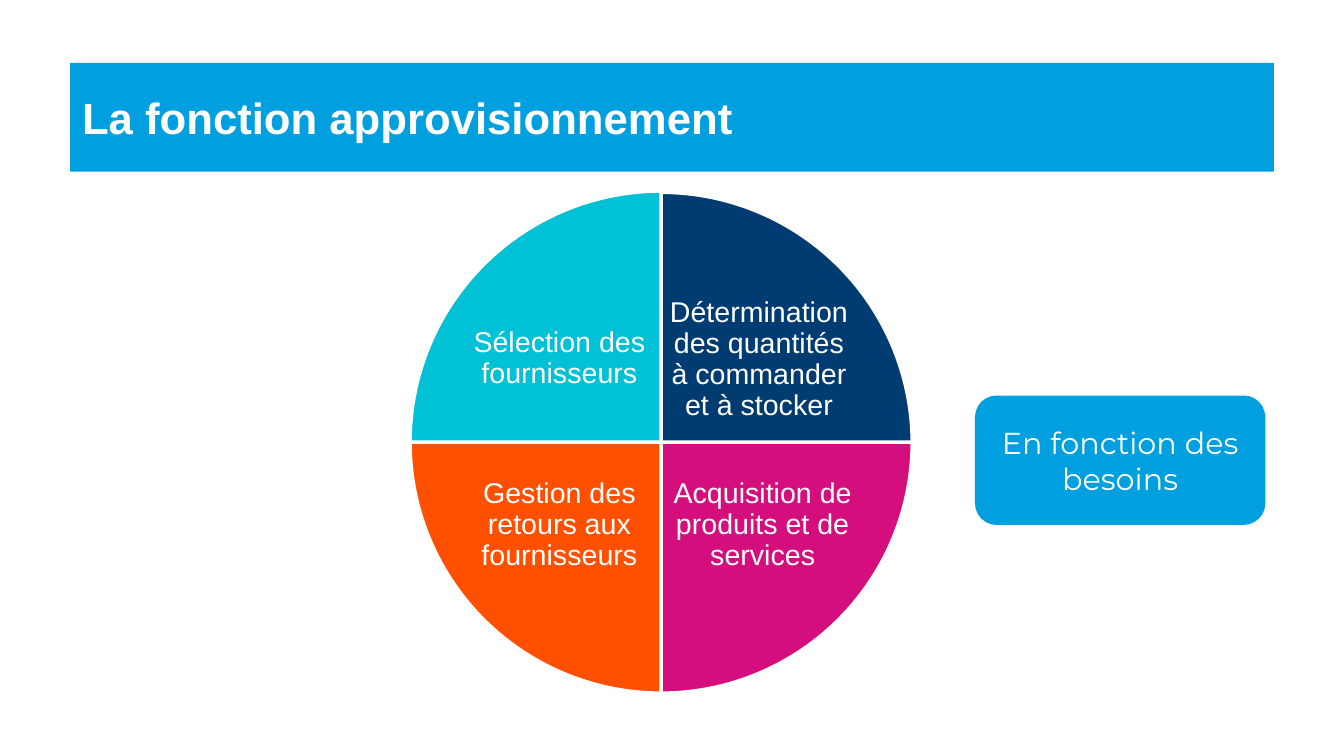
from dataclasses import dataclass

from pptx import Presentation
from pptx.dml.color import RGBColor
from pptx.enum.shapes import MSO_SHAPE
from pptx.enum.text import MSO_ANCHOR, PP_ALIGN
from pptx.shapes.autoshape import Shape
from pptx.slide import Slide
from pptx.util import Inches, Pt


@dataclass(frozen=True)
class Theme:
    blue: str = "009FDF"
    navy: str = "003C71"
    pink: str = "D40F7D"
    orange: str = "FE5000"
    cyan: str = "00C1D5"
    white: str = "FFFFFF"
    font: str = "Arial"
    note_font: str = "Montserrat"
    title_size: int = 26
    slice_size: int = 17
    note_size: int = 18


@dataclass(frozen=True)
class Box:
    left: float
    top: float
    width: float
    height: float


@dataclass(frozen=True)
class PieSlice:
    label: str
    color: str
    pie_top: float
    label_left: float
    label_top: float


THEME = Theme()
QUARTER = 54
FULL_TURN = 4 * QUARTER
PIE_LEFT, PIE_SIZE = 3.39, 4.15
LABEL_WIDTH, LABEL_HEIGHT, LABEL_INSET = 1.53, 1.23, 0.02

SLICES = [
    PieSlice("Détermination des quantités à commander et à stocker",
             THEME.navy, 1.59, 5.51, 2.36),
    PieSlice("Acquisition de produits et de services",
             THEME.pink, 1.58, 5.54, 3.73),
    PieSlice("Gestion des retours aux fournisseurs",
             THEME.orange, 1.58, 3.86, 3.73),
    PieSlice("Sélection des fournisseurs",
             THEME.cyan, 1.58, 3.86, 2.35),
]


def add_filled(s: Slide, kind: MSO_SHAPE, box: Box, color: str) -> Shape:
    sp = s.shapes.add_shape(kind, Inches(box.left), Inches(box.top),
                            Inches(box.width), Inches(box.height))
    sp.shadow.inherit = False
    sp.fill.solid()
    sp.fill.fore_color.rgb = RGBColor.from_string(color)
    sp.line.fill.background()
    return sp


def write(sp: Shape, text: str, size: int, font: str = THEME.font,
          align: PP_ALIGN = PP_ALIGN.CENTER, bold: bool = False,
          spacing: float = 1.0) -> None:
    tf = sp.text_frame
    tf.word_wrap = True
    tf.vertical_anchor = MSO_ANCHOR.MIDDLE
    p = tf.paragraphs[0]
    p.alignment = align
    p.line_spacing = spacing
    r = p.add_run()
    r.text = text
    r.font.name = font
    r.font.size = Pt(size)
    r.font.bold = bold
    r.font.color.rgb = RGBColor.from_string(THEME.white)


def add_slice(s: Slide, piece: PieSlice, index: int) -> None:
    pie = add_filled(s, MSO_SHAPE.PIE,
                     Box(PIE_LEFT, piece.pie_top, PIE_SIZE, PIE_SIZE), piece.color)
    pie.adjustments[0] = (index - 1) * QUARTER % FULL_TURN
    pie.adjustments[1] = index * QUARTER
    pie.line.color.rgb = RGBColor.from_string(THEME.white)
    pie.line.width = Pt(2)

    label = s.shapes.add_textbox(Inches(piece.label_left), Inches(piece.label_top),
                                 Inches(LABEL_WIDTH), Inches(LABEL_HEIGHT))
    tf = label.text_frame
    tf.margin_left = tf.margin_right = Inches(LABEL_INSET)
    tf.margin_top = tf.margin_bottom = Inches(LABEL_INSET)
    write(label, piece.label, THEME.slice_size, spacing=0.9)


def main() -> None:
    prs = Presentation()
    prs.slide_width, prs.slide_height = Inches(11.11), Inches(6.25)
    s = prs.slides.add_slide(prs.slide_layouts[6])

    title = add_filled(s, MSO_SHAPE.RECTANGLE, Box(0.58, 0.52, 9.95, 0.9), THEME.blue)
    write(title, "La fonction approvisionnement", THEME.title_size,
          align=PP_ALIGN.LEFT, bold=True)

    for index, piece in enumerate(SLICES):
        add_slice(s, piece, index)

    note = add_filled(s, MSO_SHAPE.ROUNDED_RECTANGLE, Box(8.06, 3.27, 2.4, 1.07), THEME.blue)
    write(note, "En fonction des besoins", THEME.note_size, font=THEME.note_font)

    prs.save("out.pptx")


if __name__ == "__main__":
    main()
